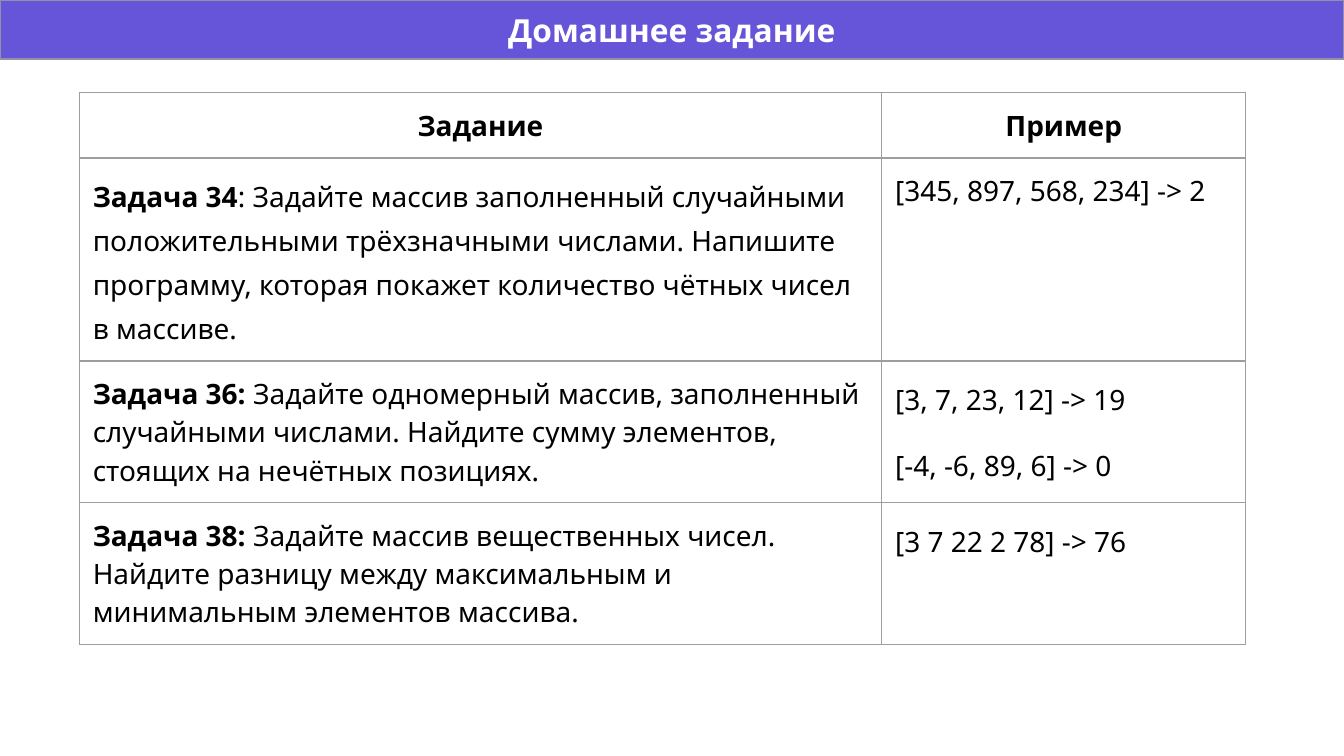
import pptx
import pptx.util
import pptx.oxml
import pptx.dml.color
import pptx.enum.text

Inch, Pt = pptx.util.Inches, pptx.util.Pt
Align = pptx.enum.text.PP_ALIGN
Anchor = pptx.enum.text.MSO_ANCHOR

# Content: each cell is a list of (runs, format); a run is (text, bold)
HUES = {"bar": "6654D9", "edge": "8F93A3", "grid": "9E9E9E",
        "text": "000000", "light": "FFFFFF"}
FONT = "Noto Sans"
TITLE = "Домашнее задание"
MID = {"alignment": Align.CENTER}
TOP = {"line_spacing": 1.15, "space_before": Pt(12)}
LOOSE = {**TOP, "space_after": Pt(12)}
ROWS = [
    [[([("Задание", True)], MID)],
     [([("Пример", True)], MID)]],
    [[([("Задача 34", True),
        (": Задайте массив заполненный случайными положительными "
         "трёхзначными числами. Напишите программу, которая покажет "
         "количество чётных чисел в массиве.", False)], LOOSE)],
     [([("[345, 897, 568, 234] -> 2", False)], {})]],
    [[([("Задача 36: ", True),
        ("Задайте одномерный массив, заполненный случайными числами. "
         "Найдите сумму элементов, стоящих на нечётных позициях.", False)], {})],
     [([("[3, 7, 23, 12] -> 19", False)], TOP),
      ([("[-4, -6, 89, 6] -> 0", False)], LOOSE)]],
    [[([("Задача 38: ", True),
        ("Задайте массив вещественных чисел. Найдите разницу между "
         "максимальным и минимальным элементов массива.", False)], {})],
     [([("[3 7 22 2 78] -> 76", False)], LOOSE)]],
]
WIDE = 10
HIGH = WIDE * 9 / 16
BAR = 0.44
LEFT, UPPER = 0.59, 0.69
COLS = [5.97, 2.71]
TALL = [0.48, 0.48, 1, 1]
PAD = {"margin_" + side: Inch(0.1) for side in ("left", "top", "right", "bottom")}


def apply(part, form):
    for name, value in form.items():
        setattr(part, name, value)


def color(name):
    return pptx.dml.color.RGBColor.from_string(HUES[name])


def write(frame, paras, size, hue):
    for num, (runs, form) in enumerate(paras):
        para = frame.add_paragraph() if num else frame.paragraphs[0]
        apply(para, form)
        for text, bold in runs:
            run = para.add_run()
            run.text = text
            apply(run.font, {"size": Pt(size), "name": FONT, "bold": bold})
            run.font.color.rgb = color(hue)


def border(cell):
    props = cell._tc.get_or_add_tcPr()
    for side in "LRTB":
        props.append(pptx.oxml.parse_xml(
            f'<a:ln{side} xmlns:a="http://schemas.openxmlformats.org/drawingml/2006/main" '
            f'w="{Pt(0.75)}"><a:solidFill><a:srgbClr val="{HUES["grid"]}"/>'
            f'</a:solidFill></a:ln{side}>'))


deck = pptx.Presentation()
apply(deck, {"slide_width": Inch(WIDE), "slide_height": Inch(HIGH)})
slide = deck.slides.add_slide(deck.slide_layouts[5])

# Title bar
bar = slide.shapes.title
apply(bar, {"left": 0, "top": 0, "width": Inch(WIDE), "height": Inch(BAR)})
bar.fill.solid()
bar.fill.fore_color.rgb = color("bar")
bar.line.color.rgb = color("edge")
bar.line.width = Pt(0.75)
apply(bar.text_frame, {**PAD, "word_wrap": True, "vertical_anchor": Anchor.MIDDLE,
                       "auto_size": pptx.enum.text.MSO_AUTO_SIZE.NONE})
write(bar.text_frame, [([(TITLE, True)], MID)], 17, "light")

# Task table
table = slide.shapes.add_table(
    len(ROWS), len(COLS), Inch(LEFT), Inch(UPPER),
    Inch(sum(COLS)), Inch(sum(TALL))).table
apply(table, {"first_row": False, "horz_banding": False})
for col, width in zip(table.columns, COLS):
    col.width = Inch(width)
for row, height, cells in zip(table.rows, TALL, ROWS):
    row.height = Inch(height)
    for cell, paras in zip(row.cells, cells):
        apply(cell, PAD)
        border(cell)
        cell.fill.background()
        write(cell.text_frame, paras, 15, "text")

deck.save("out.pptx")
